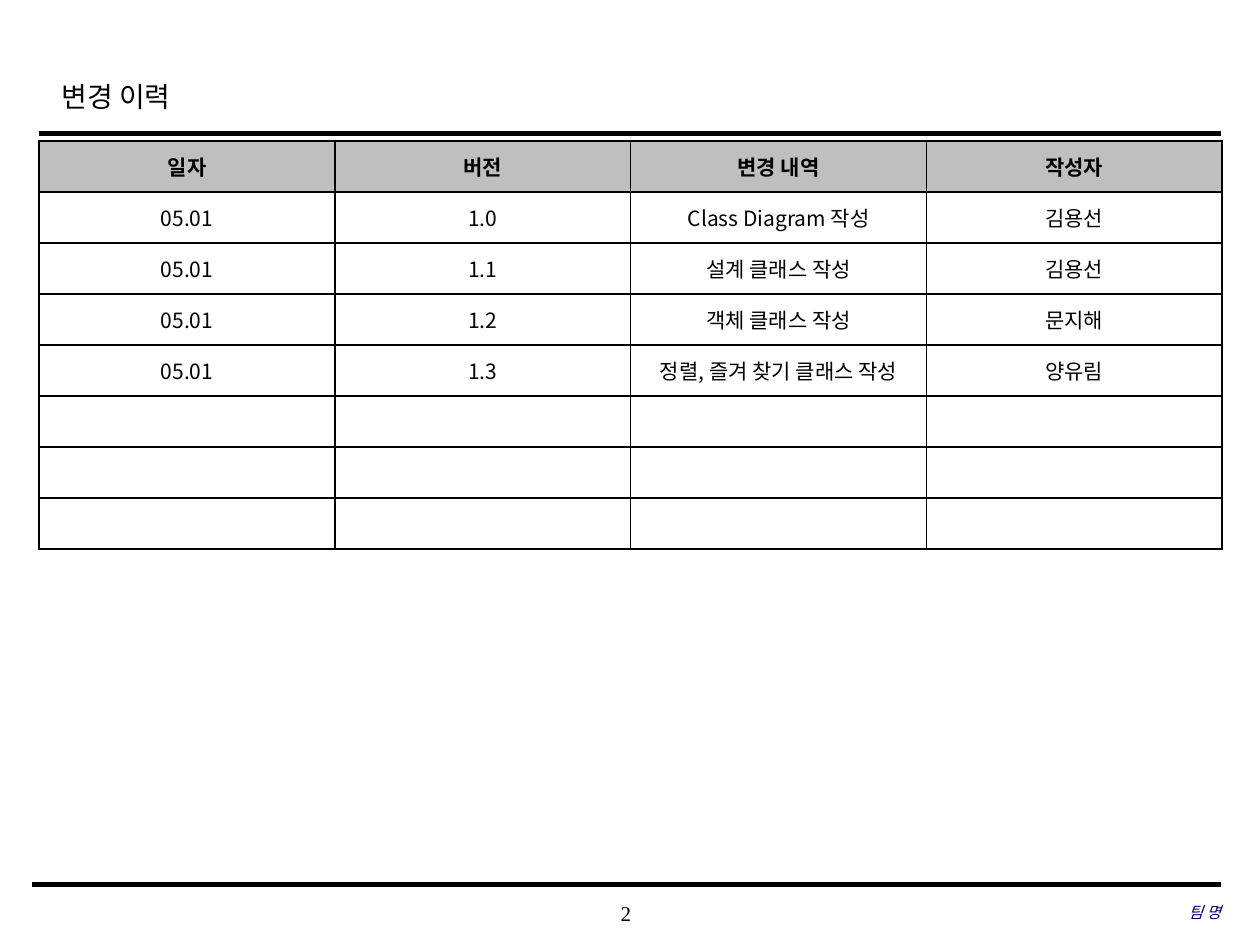
from lxml.etree import SubElement
from pptx import Presentation
from pptx.dml.color import RGBColor
from pptx.enum.shapes import MSO_CONNECTOR
from pptx.enum.text import MSO_ANCHOR, PP_ALIGN
from pptx.oxml.ns import qn
from pptx.util import Cm, Pt

TITLE = "변경 이력"
HEADER = ("일자", "버전", "변경 내역", "작성자")
HISTORY = [
    ("05.01", "1.0", "Class Diagram 작성", "김용선"),
    ("05.01", "1.1", "설계 클래스 작성", "김용선"),
    ("05.01", "1.2", "객체 클래스 작성", "문지해"),
    ("05.01", "1.3", "정렬, 즐겨 찾기 클래스 작성", "양유림"),
]
SPARE_ROWS = 3

# left, top, width, height in cm
TITLE_BOX = (0.99, 1.24, 19.18, 1.27)
TABLE_BOX = (0.79, 2.84, 23.85, 8.23)
# left, right, height on the page in cm, then weight in points
RULES = [(0.79, 24.61, 2.69, 2.5), (0.64, 24.61, 17.83, 3)]

SANS, SERIF = "Noto Sans CJK KR", "Times New Roman"
BLACK = RGBColor(0, 0, 0)
THEME = {
    "title": {"name": SERIF, "size": Pt(16), "bold": False, "color": BLACK},
    "number": {"name": SERIF, "size": Pt(12), "color": BLACK},
    "team": {"name": SERIF, "size": Pt(9), "italic": True,
             "color": RGBColor(0, 0, 0x66)},
    "header": {"name": SANS, "size": Pt(12), "bold": True, "color": BLACK},
    "body": {"name": SANS, "size": Pt(12), "bold": False, "color": BLACK},
    "header_fill": RGBColor(0xBF, 0xBF, 0xBF),
    "body_fill": RGBColor(0xFF, 0xFF, 0xFF),
    "border": Pt(1),
}
FOOTERS = [
    ("2", (9.98, 17.98, 5.28, 0.84), PP_ALIGN.CENTER, "number"),
    ("팀 명", (16.84, 17.96, 7.77, 0.84), PP_ALIGN.RIGHT, "team"),
]


def lengths(values):
    return [Cm(value) for value in values]


def write(frame, text, style, align):
    para = frame.paragraphs[0]
    para.alignment = align
    if not text:
        # An empty paragraph takes its height from its end mark.
        size = str(int(THEME[style]["size"].pt * 100))
        SubElement(para._p, qn("a:endParaRPr"), sz=size)
        return para
    span = para.add_run()
    span.text = text
    for key, value in THEME[style].items():
        if key == "color":
            span.font.color.rgb = value
        else:
            setattr(span.font, key, value)
    SubElement(span._r.get_or_add_rPr(), qn("a:ea"), typeface=SANS)
    return para


def add_title(page):
    title = page.shapes.title
    title.left, title.top, title.width, title.height = lengths(TITLE_BOX)
    frame = title.text_frame
    frame.word_wrap = True
    frame.vertical_anchor = MSO_ANCHOR.MIDDLE
    write(frame, TITLE, "title", PP_ALIGN.LEFT).line_spacing = 1.2


def add_rule(page, left, right, top, weight):
    rule = page.shapes.add_connector(
        MSO_CONNECTOR.STRAIGHT, *lengths((left, top, right, top)))
    rule.line.color.rgb = BLACK
    rule.line.width = Pt(weight)
    SubElement(rule._element.spPr, qn("a:effectLst"))


def add_footer(page, text, place, align, style):
    box = page.shapes.add_textbox(*lengths(place))
    frame = box.text_frame
    frame.word_wrap = True
    frame.vertical_anchor = MSO_ANCHOR.MIDDLE
    for side in ("left", "top", "right", "bottom"):
        setattr(frame, f"margin_{side}", 0)
    write(frame, text, style, align)


def add_borders(cell):
    props = cell._tc.get_or_add_tcPr()
    for side in "LRTB":
        line = SubElement(props, qn(f"a:ln{side}"), w=str(THEME["border"]))
        fill = SubElement(line, qn("a:solidFill"))
        SubElement(fill, qn("a:srgbClr"), val=str(BLACK))


def add_history(page):
    rows = [HEADER, *HISTORY] + [("",) * len(HEADER)] * SPARE_ROWS
    left, top, width, height = TABLE_BOX
    table = page.shapes.add_table(
        len(rows), len(HEADER), *lengths(TABLE_BOX)).table
    for column in table.columns:
        column.width = Cm(width / len(HEADER))
    for row in table.rows:
        row.height = Cm(height / len(rows))
    for row_index, texts in enumerate(rows):
        style = "header" if row_index == 0 else "body"
        for column_index, text in enumerate(texts):
            cell = table.cell(row_index, column_index)
            add_borders(cell)
            cell.fill.solid()
            cell.fill.fore_color.rgb = THEME[f"{style}_fill"]
            cell.vertical_anchor = MSO_ANCHOR.MIDDLE
            write(cell.text_frame, text, style, PP_ALIGN.CENTER)


def main():
    deck = Presentation()
    deck.slide_width, deck.slide_height = Cm(25.4), Cm(19.05)
    page = deck.slides.add_slide(deck.slide_layouts[5])
    for rule in RULES:
        add_rule(page, *rule)
    add_title(page)
    for footer in FOOTERS:
        add_footer(page, *footer)
    add_history(page)
    deck.save("out.pptx")


if __name__ == "__main__":
    main()
